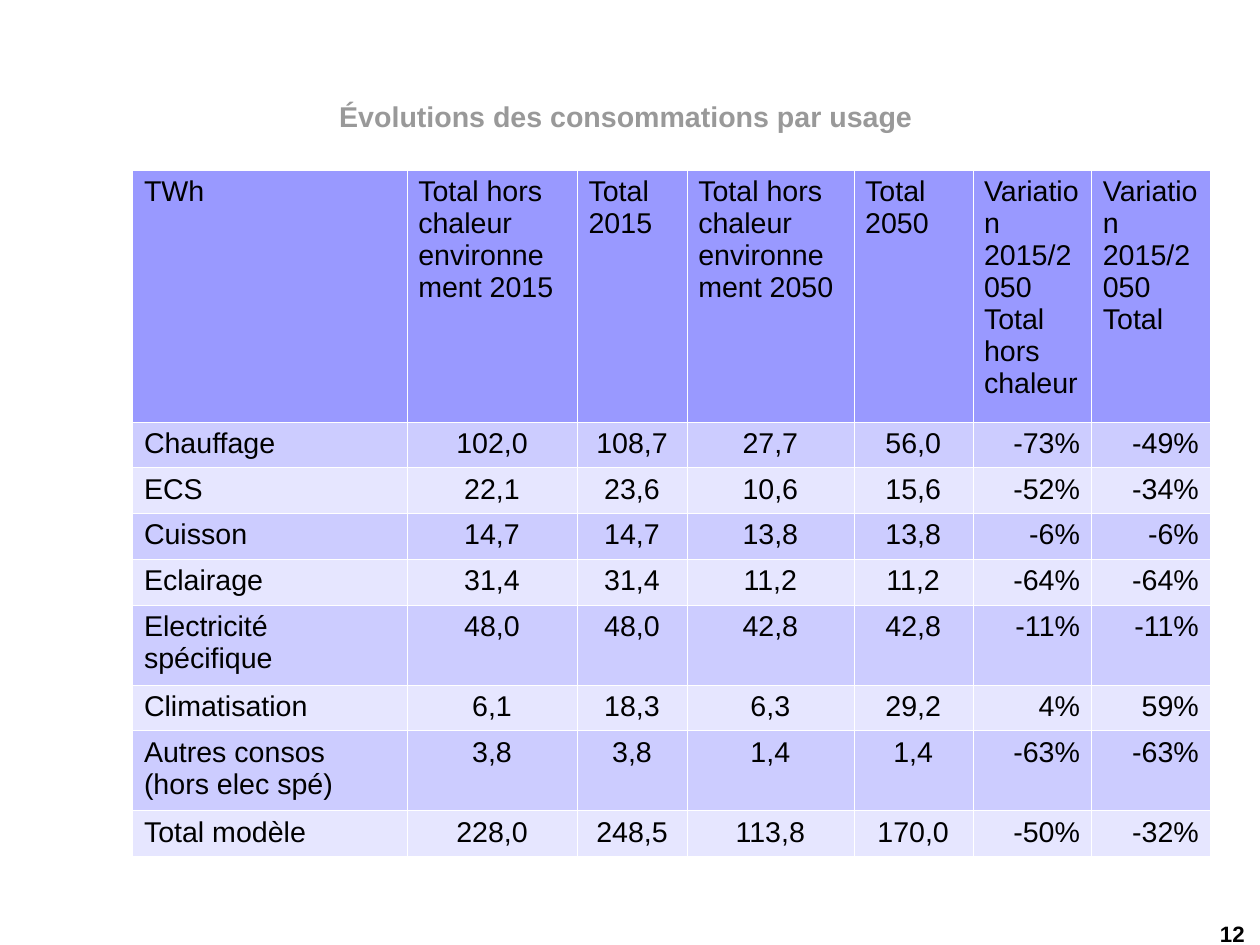
from pptx import Presentation
from pptx.dml.color import RGBColor
from pptx.enum.text import MSO_ANCHOR as Anchor, PP_ALIGN as Align
from pptx.oxml import parse_xml
from pptx.oxml.ns import nsdecls
from pptx.util import Inches, Pt

TITLE = "Évolutions des consommations par usage "
PAGE_NUMBER = "12"
HEADER = [
    "TWh",
    "Total hors chaleur environnement 2015",
    "Total 2015",
    "Total hors chaleur environnement 2050",
    "Total 2050",
    "Variation 2015/2050 Total hors chaleur",
    "Variation 2015/2050 Total",
]
USES = [
    ("Chauffage", "102,0", "108,7", "27,7", "56,0", "-73%", "-49%"),
    ("ECS", "22,1", "23,6", "10,6", "15,6", "-52%", "-34%"),
    ("Cuisson", "14,7", "14,7", "13,8", "13,8", "-6%", "-6%"),
    ("Eclairage", "31,4", "31,4", "11,2", "11,2", "-64%", "-64%"),
    ("Electricité spécifique", "48,0", "48,0", "42,8", "42,8", "-11%", "-11%"),
    ("Climatisation", "6,1", "18,3", "6,3", "29,2", "4%", "59%"),
    ("Autres consos (hors elec spé)", "3,8", "3,8", "1,4", "1,4", "-63%", "-63%"),
    ("Total modèle", "228,0", "248,5", "113,8", "170,0", "-50%", "-32%"),
]
CM_PER_INCH = 2.54
PAGE_WIDTH = 28 / CM_PER_INCH
PAGE_HEIGHT = 21 / CM_PER_INCH
COLUMN_WIDTHS = [2.4, 1.49, 0.96, 1.46, 1.04, 1.04, 1.04]
ROW_HEIGHTS = [2.2, 0.4, 0.4, 0.4, 0.4, 0.7, 0.4, 0.7, 0.4]
COLUMN_ALIGNS = [Align.LEFT] + [Align.CENTER] * 4 + [Align.RIGHT] * 2
HEADER_FILL = "9999FF"
BAND_FILLS = ["E6E6FF", "CCCCFF"]


def color(value):
    return RGBColor.from_string(value)


def write(frame, text, size=18, fill="000000", bold=False, align=Align.LEFT):
    para = frame.paragraphs[0]
    para.alignment = align
    span = para.add_run()
    span.text = text
    span.font.name = "Arial"
    span.font.size = Pt(size)
    span.font.bold = bold
    span.font.color.rgb = color(fill)


def clear_margins(frame):
    frame.margin_left = frame.margin_right = 0
    frame.margin_top = frame.margin_bottom = 0
    frame.word_wrap = True


def add_borders(cell):
    properties = cell._tc.get_or_add_tcPr()
    for index, side in enumerate(("lnL", "lnR", "lnT", "lnB")):
        line = parse_xml(
            f'<a:{side} {nsdecls("a")} w="{Pt(0.06)}"><a:solidFill>'
            f'<a:srgbClr val="FFFFFF"/></a:solidFill></a:{side}>'
        )
        properties.insert(index, line)


def add_title(page):
    title = page.shapes.title
    title.left, title.top = Inches(0.55), Inches(0.33)
    title.width, title.height = Inches(9.92), Inches(1.38)
    clear_margins(title.text_frame)
    title.text_frame.vertical_anchor = Anchor.MIDDLE
    write(title.text_frame, TITLE, fill="999999", bold=True, align=Align.CENTER)


def add_uses_table(page):
    rows = [HEADER] + USES
    table = page.shapes.add_table(
        len(rows), len(HEADER), Inches(1.16), Inches(1.49),
        Inches(sum(COLUMN_WIDTHS)), Inches(sum(ROW_HEIGHTS)),
    ).table
    for column, width in zip(table.columns, COLUMN_WIDTHS):
        column.width = Inches(width)
    for r, (values, height) in enumerate(zip(rows, ROW_HEIGHTS)):
        table.rows[r].height = Inches(height)
        for c, value in enumerate(values):
            cell = table.cell(r, c)
            cell.fill.solid()
            cell.fill.fore_color.rgb = color(BAND_FILLS[r % 2] if r else HEADER_FILL)
            add_borders(cell)
            write(cell.text_frame, value, align=COLUMN_ALIGNS[c] if r else Align.LEFT)


def add_page_number(page):
    box = page.shapes.add_textbox(Inches(9.89), Inches(8.05), Inches(1), Inches(0.22))
    clear_margins(box.text_frame)
    write(box.text_frame, PAGE_NUMBER, size=14, bold=True, align=Align.RIGHT)


def main():
    deck = Presentation()
    deck.slide_width = Inches(PAGE_WIDTH)
    deck.slide_height = Inches(PAGE_HEIGHT)
    page = deck.slides.add_slide(deck.slide_layouts[5])
    add_title(page)
    add_uses_table(page)
    add_page_number(page)
    deck.save("out.pptx")


if __name__ == "__main__":
    main()
